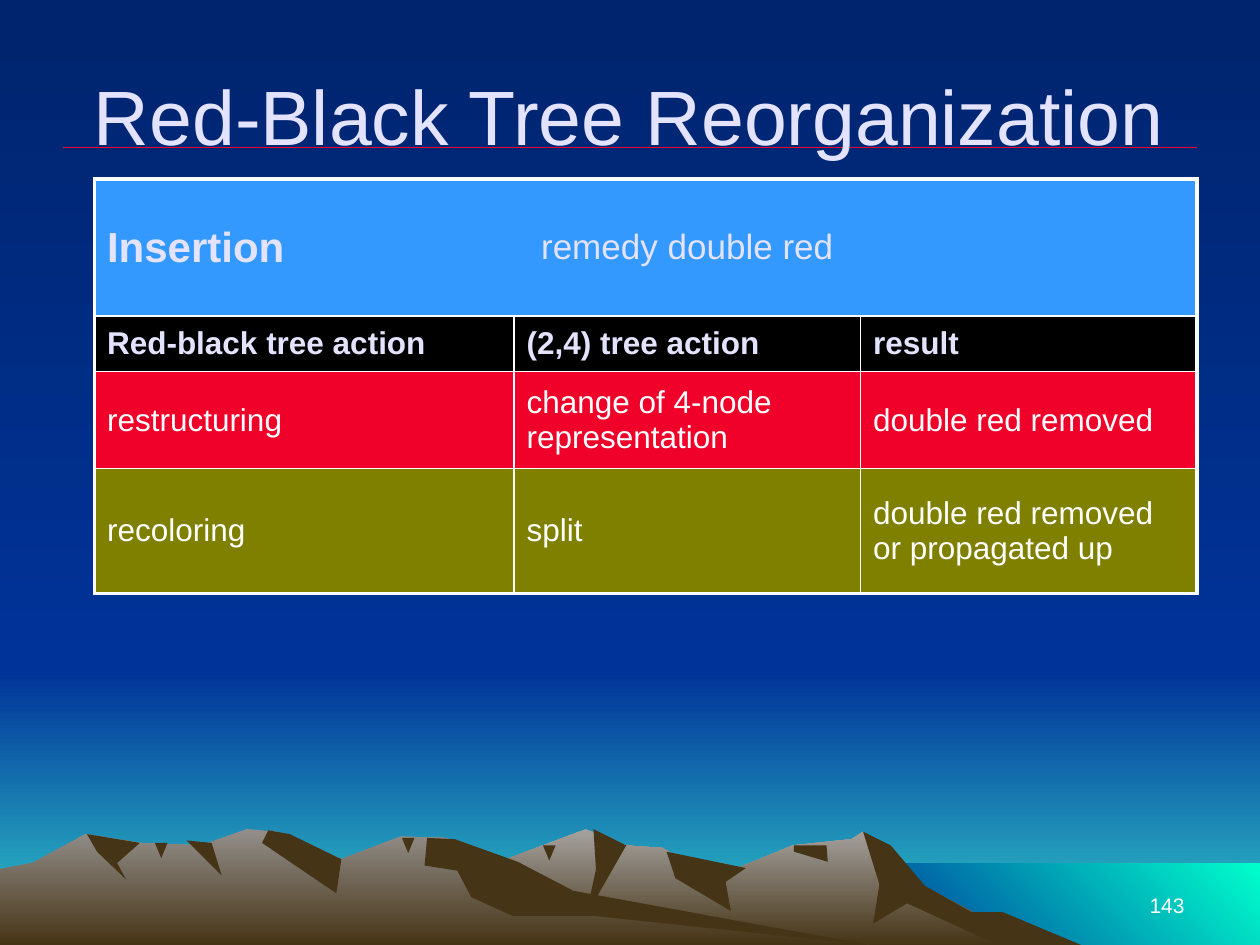
from lxml import etree
from pptx import Presentation
from pptx.dml.color import RGBColor
from pptx.enum.shapes import MSO_CONNECTOR
from pptx.enum.text import MSO_ANCHOR, PP_ALIGN
from pptx.oxml.ns import qn
from pptx.util import Emu, Inches, Pt

STRAIGHT = MSO_CONNECTOR.STRAIGHT
MIDDLE, BOTTOM = MSO_ANCHOR.MIDDLE, MSO_ANCHOR.BOTTOM
LEFT, CENTER, RIGHT = PP_ALIGN.LEFT, PP_ALIGN.CENTER, PP_ALIGN.RIGHT

FONT = "Arial"
WHITE, PALE, RED, OLIVE = "FFFFFF", "E3E3FF", "EF0129", "808000"
NIGHT, BLUE, ROCK = "00246D", "003399", "463416"
DOWN, UP_RIGHT = 270, 45  # gradient directions
UNIT = Emu(9144)  # scenery is drawn in hundredths of an inch
WIDE, HIGH, HORIZON = 1000, 750, 533

# Content
TITLE = "Red-Black Tree Reorganization"
PAGE = "143"
COLUMNS = [3.33, 2.75, 2.67]
ROWS = [  # height, fill, cell texts
    (1.09, "3399FF", ["Insertion", "remedy double red", ""]),
    (0.44, "000000", ["Red-black tree action", "(2,4) tree action", "result"]),
    (0.77, RED, ["restructuring", "change of 4-node representation", "double red removed"]),
    (0.99, OLIVE, ["recoloring", "split", "double red removed or propagated up"]),
]
HEADING = {"size": Pt(24), "bold": True, "color": PALE}
REMEDY = {"size": Pt(20), "bold": False, "color": PALE}
LABEL = {"size": Pt(18), "bold": True, "color": PALE}
ENTRY = {"size": Pt(18), "bold": False, "color": WHITE}
FORMATS = [[HEADING, REMEDY, REMEDY], [LABEL] * 3, [ENTRY] * 3, [ENTRY] * 3]
OUTER, INNER = Pt(2.25), Pt(1)


def box(left, top, right, bottom):
    return [(right, bottom), (left, bottom), (left, top), (right, top)]


def notch(left, top):
    """A small shadow hanging from the ridge."""
    return [(left, top), (left + 10, top), (left + 5, top + 12)]


# Scenery from back to front: fill (one colour, or two and a direction), outlines
SCENERY = [
    ((BLUE, "33CCCC", DOWN), [box(0, HORIZON, WIDE, HIGH)]),
    ((NIGHT, BLUE, DOWN), [box(0, 0, WIDE, HORIZON)]),
    ((BLUE, "00FFCC", UP_RIGHT), [box(683, 685, WIDE, HIGH)]),
    # right-hand mountains and their shadows
    (("A5A29F", ROCK, DOWN), [
        [(258, HIGH), (394, 685), (465, 658), (497, 671), (526, 673), (566, 697),
         (629, 671), (676, 666), (685, 660), (723, 698), (821, HIGH)]]),
    ((ROCK,), [
        [(685, 660), (707, 671), (734, 703), (771, 724), (796, 724), (858, HIGH),
         (792, HIGH), (720, 717), (693, 733), (698, 702)],
        [(471, 658), (497, 671), (465, 727), (473, 690)],
        [(529, 676), (592, 689), (576, 700), (580, 723), (536, 697)],
        [(630, 671), (656, 671), (657, 684), (630, 676)],
        notch(431, 671)]),
    # left-hand mountains and their shadows
    (("938F8B", ROCK, DOWN), [
        [(0, HIGH), (0, 690), (26, 685), (68, 662), (111, 669), (160, 671), (196, 658),
         (219, 660), (271, 682), (318, 664), (354, 665), (432, 712), (690, HIGH)]]),
    ((ROCK,), [
        [(213, 659), (230, 662), (271, 682), (267, 709), (208, 669)],
        [(339, 665), (361, 666), (411, 684), (455, 707), (690, HIGH), (472, 727),
         (407, 727), (374, 712), (363, 691), (337, 687)],
        [(148, 667), (168, 669), (176, 695)],
        [(69, 662), (111, 669), (93, 685), (100, 698), (77, 676)],
        notch(319, 665), notch(123, 669)]),
]


def rgb(value):
    return RGBColor.from_string(value)


def paint(fill, colours):
    if len(colours) == 1:
        fill.solid()
        fill.fore_color.rgb = rgb(colours[0])
        return
    *ends, direction = colours
    fill.gradient()
    fill.gradient_angle = direction
    for stop, colour in zip(fill.gradient_stops, ends):
        stop.color.rgb = rgb(colour)


def write(frame, text, style, align=LEFT):
    paragraph = frame.paragraphs[0]
    paragraph.alignment = align
    run = paragraph.add_run()
    run.text = text
    for key, value in {"name": FONT, **style}.items():
        if key == "color":
            run.font.color.rgb = rgb(value)
        else:
            setattr(run.font, key, value)


def add_border(cell, side, width):
    """Draw one side of a cell; a width of 0 hides it."""
    line = etree.SubElement(cell._tc.get_or_add_tcPr(), qn(f"a:ln{side}"), w=str(int(width)))
    if width:
        solid = etree.SubElement(line, qn("a:solidFill"))
        etree.SubElement(solid, qn("a:srgbClr"), val=WHITE)
    else:
        etree.SubElement(line, qn("a:noFill"))


prs = Presentation()
prs.slide_width, prs.slide_height = Inches(10), Inches(7.5)
slide = prs.slides.add_slide(prs.slide_layouts[5])
shapes = slide.shapes
paint(slide.background.fill, (NIGHT, BLUE, DOWN))

# Sky, sea and mountains
for colours, outlines in SCENERY:
    for start, *others in outlines:
        builder = shapes.build_freeform(*start, scale=UNIT)
        builder.add_line_segments(others, close=True)
        part = builder.convert_to_shape()
        part.shadow.inherit = False
        part.line.fill.background()
        paint(part.fill, colours)

# Rule under the title
rule = shapes.add_connector(STRAIGHT, Inches(0.5), Inches(1.17), Inches(9.5), Inches(1.17))
rule.line.color.rgb = rgb(RED)
rule.line.width = Pt(0.75)
etree.SubElement(rule._element.spPr, qn("a:effectLst"))

# Page number
page = shapes.add_textbox(Inches(7.17), Inches(6.83), Inches(2.33), Inches(0.5)).text_frame
page.word_wrap = True
page.vertical_anchor = BOTTOM
write(page, PAGE, {"size": Pt(12), "color": WHITE}, RIGHT)

# Title, in front of the scenery
title = shapes.title
title.left, title.top, title.width, title.height = map(Inches, (0.33, 0.33, 9.33, 1.16))
title.text_frame.vertical_anchor = MIDDLE
write(title.text_frame, TITLE, {"size": Pt(44), "color": PALE}, CENTER)
shapes._spTree.append(title._element)

# Table
table = shapes.add_table(len(ROWS), len(COLUMNS), Inches(0.75), Inches(1.42),
                         Inches(sum(COLUMNS)), Inches(sum(row[0] for row in ROWS))).table
table.first_row = table.horz_banding = False
for column, width in zip(table.columns, COLUMNS):
    column.width = Inches(width)
last_row, last_column = len(ROWS) - 1, len(COLUMNS) - 1
for r, (height, colour, texts) in enumerate(ROWS):
    table.rows[r].height = Inches(height)
    upright = INNER if r else 0  # the top band has no inner uprights
    for c, text in enumerate(texts):
        cell = table.cell(r, c)
        add_border(cell, "L", upright if c else OUTER)
        add_border(cell, "R", OUTER if c == last_column else upright)
        add_border(cell, "T", INNER if r else OUTER)
        add_border(cell, "B", OUTER if r == last_row else INNER)
        paint(cell.fill, (colour,))
        cell.vertical_anchor = MIDDLE
        if text:
            style = FORMATS[r][c]
            write(cell.text_frame, text, style, CENTER if style is REMEDY else LEFT)

prs.save("out.pptx")
